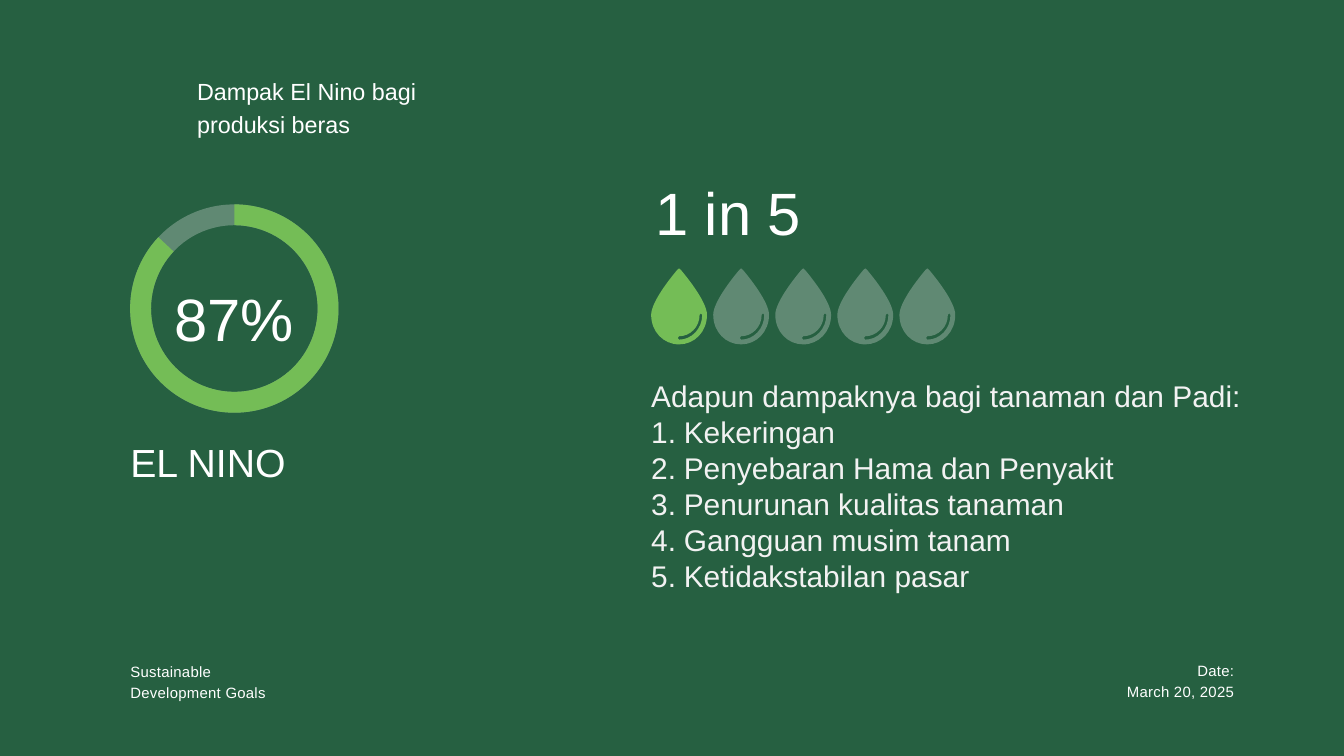
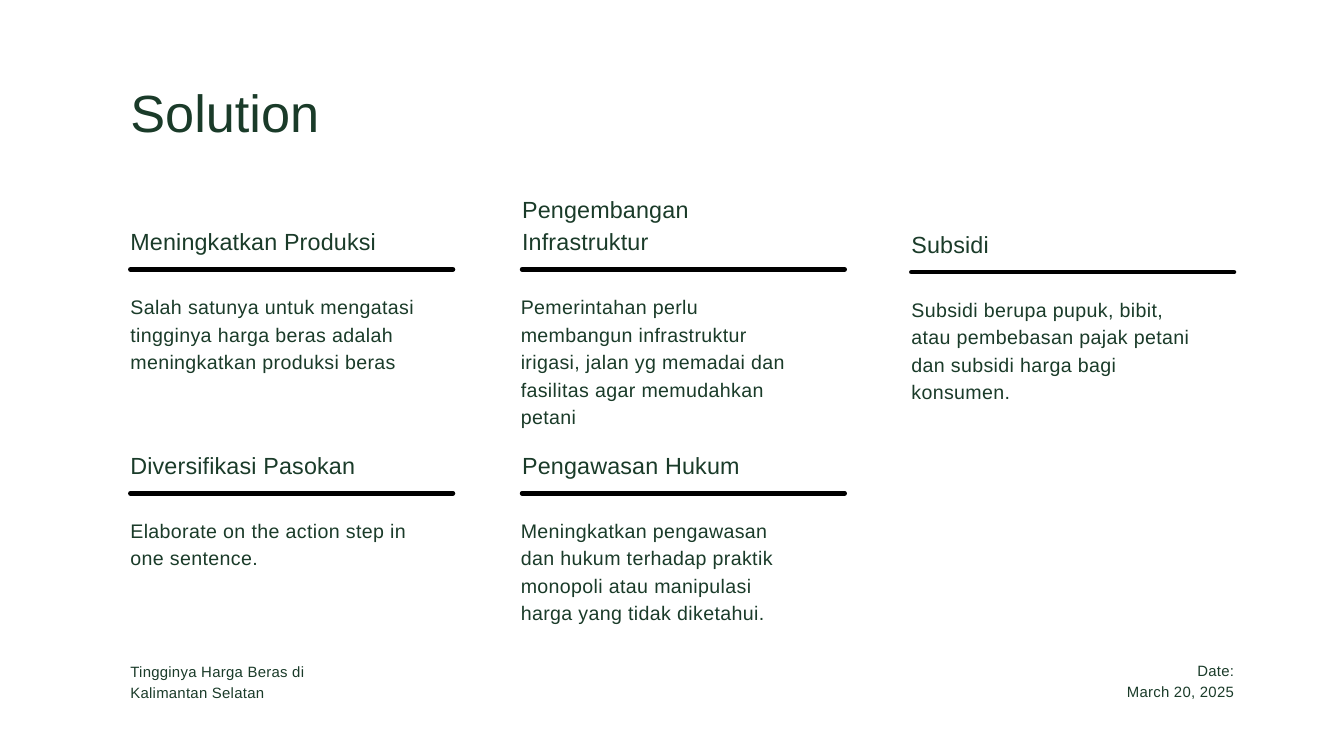
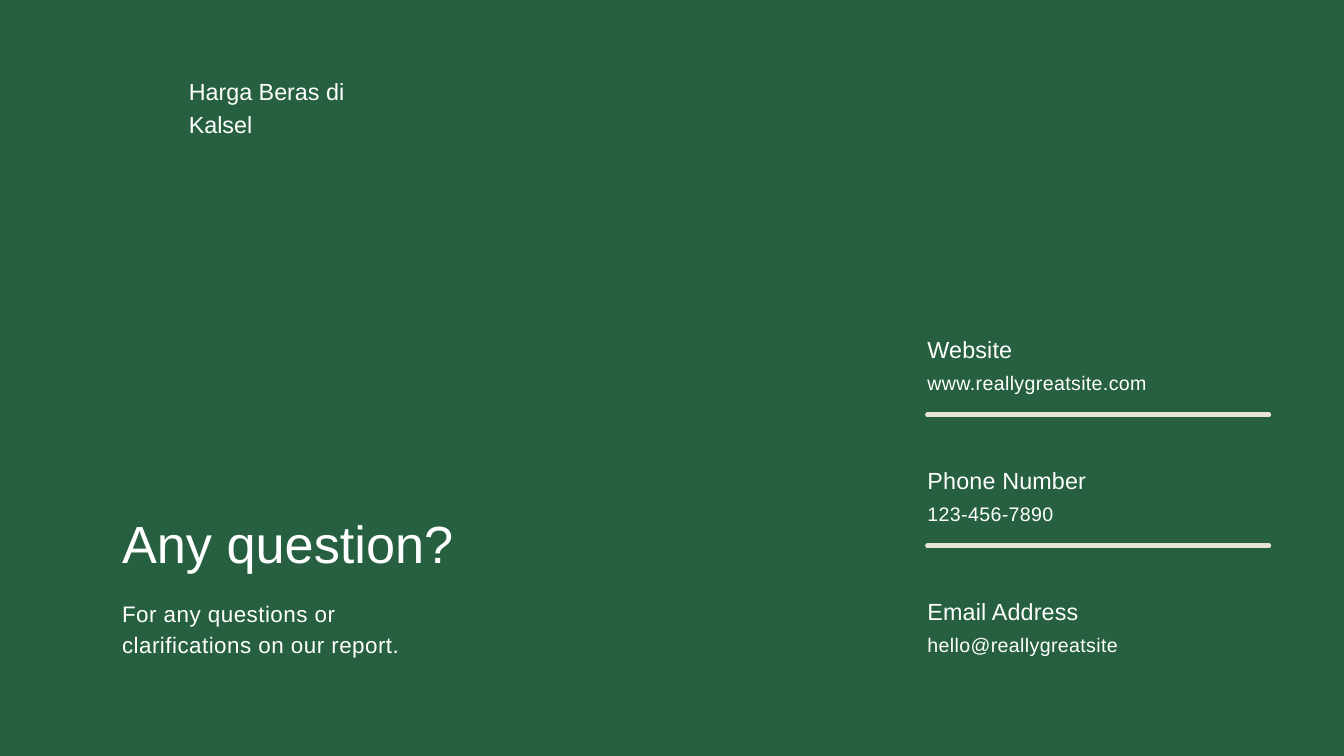
"""Builds three slides on El Nino, rice price solutions and contact details."""
import lxml.etree
import pptx
import pptx.dml.color
import pptx.enum.shapes
import pptx.enum.text
import pptx.oxml.ns
import pptx.util

Pt = pptx.util.Pt
qn = pptx.oxml.ns.qn
SHAPE = pptx.enum.shapes.MSO_SHAPE
ALIGN = pptx.enum.text.PP_ALIGN

FONT = "Arial"
COLORS = {
    "green": "266041", "white": "FFFFFF", "ink": "1A3B29", "leaf": "74BD56",
    "muted": "608973", "list": "F2F2F2", "black": "000000", "cream": "E8E4DA",
}
# size, line height, letter spacing
STYLES = {
    "title": (56, 67.2, 0), "topic": (25, 35, 0), "heading": (25, 35, 0.2),
    "body": (21, 29.4, 0.4), "lead": (24, 33.6, 0.5), "footer": (16, 22.4, 0.3),
    "figure": (64, 89.6, 0), "label": (42, 54.6, 0), "list": (32, 38.6, 0),
}
LEFT = 139.7
LIST_INDENT = 35
DROP_TOP, DROP_FIRST, DROP_PITCH = 287.6, 727.6, 66.5
DROP_OUTLINE = [
    (0, 81.4), (16.5, 81.4), (29.9, 68), (29.9, 49.7), (29.9, 36), (9, 10), (2, 1.7),
    (1.2, 0.7), (0.6, 0), (0, 0), (-0.6, 0), (-1.2, 0.7), (-2, 1.7),
    (-9, 10), (-29.9, 36), (-29.9, 49.7), (-29.9, 68), (-16.5, 81.4), (0, 81.4),
]
DROP_GLINT = [
    (24.8, 49.7), (24.8, 64.8), (13.3, 76.3), (0, 76.3), (-0.7, 76.3), (-1.4, 75.6), (-1.4, 74.5),
    (-1.4, 73.4), (-0.7, 72.7), (0, 72.7), (11.2, 72.7), (22, 63.4), (22, 49.7),
    (22, 48.8), (22.4, 48.2), (23.4, 48.2), (24.2, 48.2), (24.8, 48.8), (24.8, 49.7),
]


def rgb(color):
    return pptx.dml.color.RGBColor.from_string(COLORS[color])


def new_slide(deck, layout, background):
    slide = deck.slides.add_slide(deck.slide_layouts[layout])
    slide.background.fill.solid()
    slide.background.fill.fore_color.rgb = rgb(background)
    return slide


def write(holder, box, text, style, color, align=ALIGN.LEFT):
    holder.left, holder.top, holder.width, holder.height = map(Pt, box)
    frame = holder.text_frame
    frame.text = text
    frame.word_wrap = True
    frame.auto_size = pptx.enum.text.MSO_AUTO_SIZE.NONE
    frame.vertical_anchor = pptx.enum.text.MSO_ANCHOR.TOP
    frame.margin_left = frame.margin_top = frame.margin_right = frame.margin_bottom = 0
    size, line_height, tracking = STYLES[style]
    for paragraph in frame.paragraphs:
        paragraph.alignment = align
        paragraph.line_spacing = Pt(line_height)
        paragraph.space_before = Pt(0)
        for run in paragraph.runs:
            run.font.name = FONT
            run.font.size = Pt(size)
            run.font.color.rgb = rgb(color)
            if tracking:
                run.font._element.set("spc", str(round(tracking * 100)))


def add_text(slide, box, text, style, color, align=ALIGN.LEFT):
    write(slide.shapes.add_textbox(0, 0, 0, 0), box, text, style, color, align)


def set_list_marker(paragraph, numbered):
    properties = paragraph._p.get_or_add_pPr()
    indent = Pt(LIST_INDENT) if numbered else 0
    properties.set("marL", str(indent))
    properties.set("indent", str(-indent))
    marker = lxml.etree.SubElement(properties, qn("a:buAutoNum" if numbered else "a:buNone"))
    if numbered:
        marker.set("type", "arabicPeriod")


def add_numbered_list(slide, box, intro, items):
    body = slide.placeholders[1]
    write(body, box, "\n".join([intro] + items), "list", "list")
    for position, paragraph in enumerate(body.text_frame.paragraphs):
        set_list_marker(paragraph, position > 0)


def add_rule(slide, x, y, width, color):
    rule = slide.shapes.add_connector(
        pptx.enum.shapes.MSO_CONNECTOR.STRAIGHT, Pt(x), Pt(y), Pt(x + width), Pt(y))
    rule.line.color.rgb = rgb(color)
    rule.line.width = Pt(5)
    properties = rule._element.spPr
    properties.find(qn("a:ln")).set("cap", "rnd")
    lxml.etree.SubElement(properties, qn("a:effectLst"))


def paint(shape, color):
    shape.shadow.inherit = False
    shape.fill.solid()
    shape.fill.fore_color.rgb = rgb(color)
    shape.line.fill.background()


def add_percent_ring(slide, center_x, center_y, radius, percent):
    box = [Pt(v) for v in (center_x - radius, center_y - radius, 2 * radius, 2 * radius)]
    track = slide.shapes.add_shape(SHAPE.DONUT, *box)
    track.adjustments[0] = 0.1
    paint(track, "muted")
    share = slide.shapes.add_shape(SHAPE.BLOCK_ARC, *box)
    end_angle = (270 + 3.6 * percent) % 360
    for index, value in enumerate((270 * 0.6, end_angle * 0.6, 0.1)):
        share.adjustments[index] = value
    paint(share, "leaf")
    add_text(slide, (center_x - 80, center_y - 41.8, 160, 86.4),
             f"{percent}%", "figure", "white", ALIGN.CENTER)


def bend_segments(shape, controls):
    segments = list(shape._element.iter(qn("a:lnTo")))
    for segment, handles in zip(segments, controls):
        curve = lxml.etree.Element(qn("a:cubicBezTo"))
        for x, y in handles:
            handle = lxml.etree.SubElement(curve, qn("a:pt"))
            handle.set("x", str(x - shape.left))
            handle.set("y", str(y - shape.top))
        curve.append(segment[0])
        segment.getparent().replace(segment, curve)


def add_drops(slide, positions, color):
    contours = [[(Pt(DROP_FIRST + DROP_PITCH * position + x), Pt(DROP_TOP + y)) for x, y in curve]
                for position in positions for curve in (DROP_OUTLINE, DROP_GLINT)]
    builder = slide.shapes.build_freeform(*contours[0][0], scale=1.0)
    controls = []
    for index, contour in enumerate(contours):
        if index:
            builder.move_to(*contour[0])
        builder.add_line_segments(contour[3::3], close=True)
        controls += zip(contour[1::3], contour[2::3])
    drops = builder.convert_to_shape()
    bend_segments(drops, controls)
    paint(drops, color)


def add_footer(slide, subject, width, color):
    add_text(slide, (LEFT, 706.3, width, 42.5), subject, "footer", color)
    add_text(slide, (1150.2, 705.6, 172.1, 43.2), "Date:\nMarch 20, 2025",
             "footer", color, ALIGN.RIGHT)


def add_action(slide, column, rule_y, heading, heading_lines, detail):
    x, detail_x = column
    heading_height = 35 * heading_lines
    add_text(slide, (x, rule_y - 15 - heading_height, 308.9, heading_height),
             heading, "heading", "ink")
    add_rule(slide, x, rule_y, 345.6, "black")
    add_text(slide, (detail_x, rule_y + 23.3, 307, 116), detail, "body", "ink")


def build_impact(deck):
    slide = new_slide(deck, 1, "green")
    write(slide.shapes.title, (211.2, 78.1, 257, 67.7),
          "Dampak El Nino bagi produksi beras", "topic", "white")
    add_percent_ring(slide, 251.1, 330.6, 111.6, 87)
    add_text(slide, (LEFT, 465.1, 534, 52.6), "EL NINO", "label", "white")
    add_text(slide, (702, 175.7, 240.5, 86.4), "1 in 5", "figure", "white")
    add_drops(slide, [0], "leaf")
    add_drops(slide, range(1, 5), "muted")
    add_numbered_list(
        slide, (697.7, 404.6, 652, 271.4), "Adapun dampaknya bagi tanaman dan Padi:",
        ["Kekeringan", "Penyebaran Hama dan Penyakit", "Penurunan kualitas tanaman",
         "Gangguan musim tanam", "Ketidakstabilan pasar"])
    add_footer(slide, "Sustainable Development Goals", 172.1, "white")


def build_solution(deck):
    slide = new_slide(deck, 5, "white")
    write(slide.shapes.title, (LEFT, 86.4, 420, 67.7), "Solution", "title", "ink")
    first, middle, last = (LEFT, LEFT), (559.4, 558), (976.5, 976.5)
    upper, lower = 288.7, 528.5
    actions = [
        (first, upper, "Meningkatkan Produksi", 1,
         "Salah satunya untuk mengatasi tingginya harga beras adalah "
         "meningkatkan produksi beras"),
        (middle, upper, "Pengembangan Infrastruktur", 2,
         "Pemerintahan perlu membangun infrastruktur irigasi, jalan yg memadai "
         "dan fasilitas agar memudahkan petani"),
        (last, upper + 2.9, "Subsidi", 1,
         "Subsidi berupa pupuk, bibit, atau pembebasan pajak petani dan subsidi "
         "harga bagi konsumen."),
        (first, lower, "Diversifikasi Pasokan", 1,
         "Elaborate on the action step in one sentence."),
        (middle, lower, "Pengawasan Hukum", 1,
         "Meningkatkan pengawasan dan hukum terhadap praktik monopoli atau "
         "manipulasi harga yang tidak diketahui."),
    ]
    for action in actions:
        add_action(slide, *action)
    add_footer(slide, "Tingginya Harga Beras di Kalimantan Selatan", 194.4, "ink")


def build_contact(deck):
    slide = new_slide(deck, 5, "green")
    add_text(slide, (202.3, 78.1, 204.5, 67), "Harga Beras di Kalsel", "topic", "white")
    write(slide.shapes.title, (130.8, 548, 420, 67), "Any question?", "title", "white")
    add_text(slide, (130.8, 638, 420, 64),
             "For any questions or\nclarifications on our report.", "lead", "white")
    contacts = [("Website", "www.reallygreatsite.com"), ("Phone Number", "123-456-7890"),
                ("Email Address", "hello@reallygreatsite")]
    x = 993.7
    for row, (channel, address) in enumerate(contacts):
        y = 354.2 + 140.4 * row
        add_text(slide, (x, y, 321, 31.7), channel, "heading", "white")
        add_text(slide, (x, y + 38.9, 321, 28), address, "body", "white")
        if row < len(contacts) - 1:
            add_rule(slide, x, y + 90.2, 365.8, "cream")


def main():
    deck = pptx.Presentation()
    deck.slide_width, deck.slide_height = Pt(1440), Pt(810)
    build_impact(deck)
    build_solution(deck)
    build_contact(deck)
    deck.save("out.pptx")


if __name__ == "__main__":
    main()
